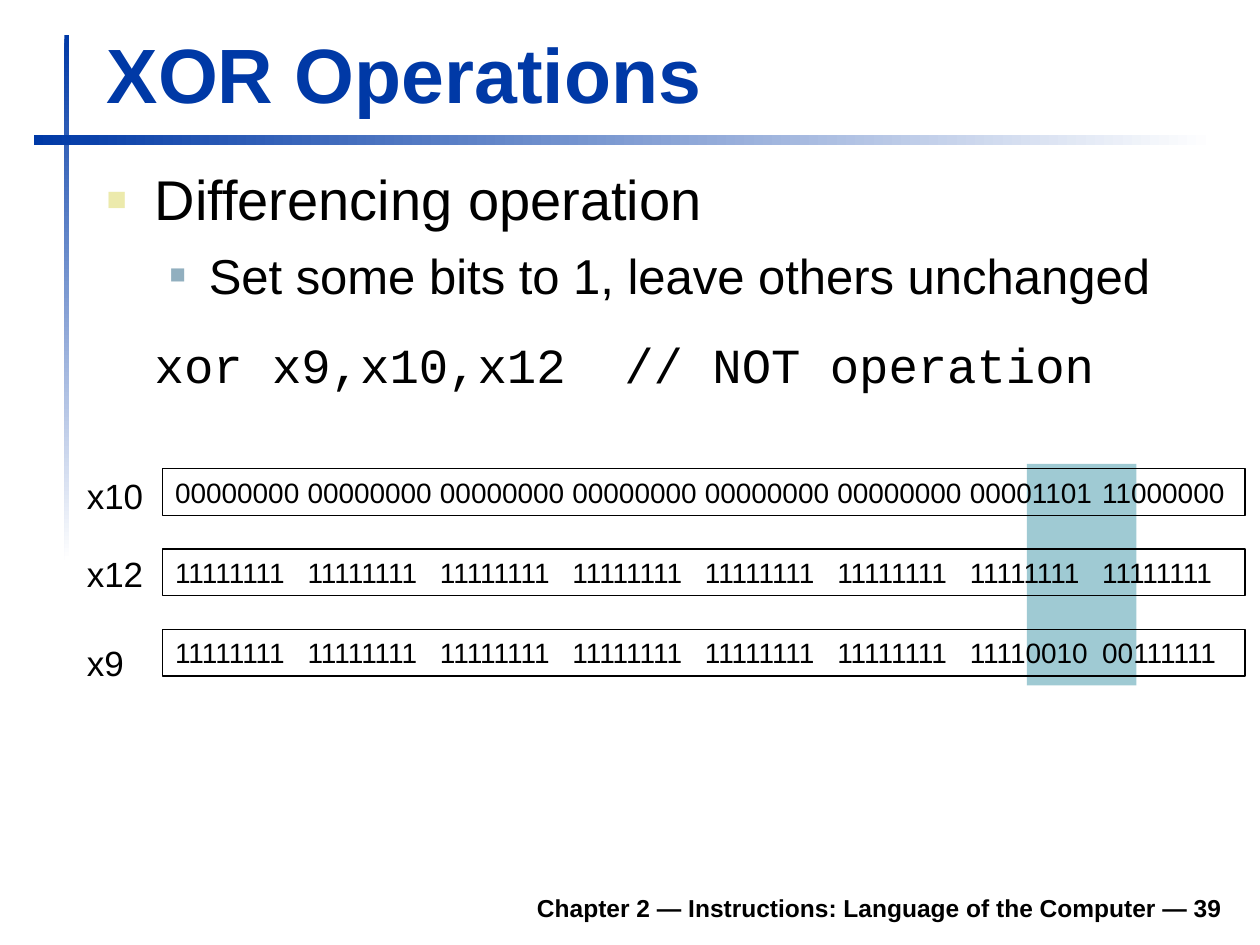
from lxml.etree import SubElement
from pptx import Presentation
from pptx.dml.color import RGBColor
from pptx.enum.shapes import MSO_SHAPE
from pptx.enum.text import MSO_ANCHOR, PP_ALIGN
from pptx.oxml.ns import qn
from pptx.util import Cm, Pt

BLUE = RGBColor(0x00, 0x39, 0xA6)
WHITE = RGBColor(0xFF, 0xFF, 0xFF)
BLACK = RGBColor(0x00, 0x00, 0x00)
TEAL = RGBColor(0x9F, 0xCA, 0xD3)
SAND = RGBColor(0xEC, 0xEA, 0xAC)
STEEL = RGBColor(0x91, 0xAF, 0xBF)

TITLE = "XOR Operations"
FOOTER = "Chapter 2 — Instructions: Language of the Computer — 39"
POINTS = [
    {"text": "Differencing operation", "left": 0.97, "hang": 0.97,
     "bullet": (SAND, 60), "font": {"size": Pt(32)}},
    {"text": "Set some bits to 1, leave others unchanged", "left": 2.06, "hang": 0.79,
     "bullet": (STEEL, 55), "before": 7.5, "level": 1, "font": {"size": Pt(28)}},
    {"text": "xor x9,x10,x12  // NOT operation", "left": 0.97, "hang": 0,
     "before": 17.5, "font": {"size": Pt(28), "name": "Courier New"}},
]
ZEROS, ONES = "00000000", "11111111"
REGISTERS = [
    ("x10", 9.45, [ZEROS] * 6 + ["00001101", "11000000"]),
    ("x12", 11.02, [ONES] * 8),
    ("x9", 12.8, [ONES] * 6 + ["11110010", "00111111"]),
]
RULES = [((1.3, 0.71, 0.1, 10.59), 270), ((0.69, 2.72, 23.8, 0.2), 0)]

REGISTER_LEFT, REGISTER_TOP = 3.28, 9.45
REGISTER_WIDTH, REGISTER_HEIGHT = 21.82, 0.94
REGISTER_PITCH = 1.62
BYTE_PITCH = 2.67


def cm_box(*lengths):
    return [Cm(length) for length in lengths]


def write(paragraph, text, **formats):
    run = paragraph.add_run()
    run.text = text
    for key, value in {"name": "Arial", "bold": False, **formats}.items():
        setattr(run.font, key, value)
    run.font.color.rgb = formats_color.get(text, BLACK)


formats_color = {TITLE: BLUE}


def add_box(slide, box, wrap=True):
    frame = slide.shapes.add_textbox(*cm_box(*box)).text_frame
    frame.word_wrap = wrap
    return frame


def add_rectangle(slide, box):
    rectangle = slide.shapes.add_shape(MSO_SHAPE.RECTANGLE, *cm_box(*box))
    rectangle.shadow.inherit = False
    return rectangle


def add_bullet(paragraph, color, percent):
    properties = paragraph._p.get_or_add_pPr()
    bullet_color = SubElement(properties, qn("a:buClr"))
    SubElement(bullet_color, qn("a:srgbClr"), val=str(color))
    SubElement(properties, qn("a:buSzPct"), val=str(percent * 1000))
    SubElement(properties, qn("a:buFont"), typeface="Arial")
    SubElement(properties, qn("a:buChar"), char="■")


def add_byte_tabs(paragraph, count):
    tabs = SubElement(paragraph._p.get_or_add_pPr(), qn("a:tabLst"))
    for column in range(1, count):
        SubElement(tabs, qn("a:tab"), pos=str(Cm(column * BYTE_PITCH)), algn="l")


def add_rules(slide):
    for box, angle in RULES:
        rule = add_rectangle(slide, box)
        rule.line.fill.background()
        rule.fill.gradient()
        rule.fill.gradient_angle = angle
        for stop, color in zip(rule.fill.gradient_stops, (BLUE, WHITE)):
            stop.color.rgb = color


def add_title(slide):
    title = slide.shapes.title
    title.left, title.top, title.width, title.height = cm_box(1.9, 0.41, 22.94, 2.11)
    title.text_frame.vertical_anchor = MSO_ANCHOR.BOTTOM
    paragraph = title.text_frame.paragraphs[0]
    paragraph.alignment = PP_ALIGN.LEFT
    write(paragraph, TITLE, size=Pt(44), bold=True)


def add_points(slide):
    frame = add_box(slide, (1.9, 3.2, 22.99, 5.77))
    for index, point in enumerate(POINTS):
        paragraph = frame.add_paragraph() if index else frame.paragraphs[0]
        paragraph.level = point.get("level", 0)
        properties = paragraph._p.get_or_add_pPr()
        properties.set("marL", str(Cm(point["left"])))
        properties.set("indent", str(-Cm(point["hang"])))
        if "bullet" in point:
            add_bullet(paragraph, *point["bullet"])
        if "before" in point:
            paragraph.space_before = Pt(point["before"])
        write(paragraph, point["text"], **point["font"])


def add_registers(slide):
    highlight = add_rectangle(slide, (20.7, 9.35, 2.21, 4.47))
    highlight.fill.solid()
    highlight.fill.fore_color.rgb = TEAL
    highlight.line.fill.background()
    for row, (name, label_top, octets) in enumerate(REGISTERS):
        label = add_box(slide, (1.5, label_top, 1.65, 1.12), wrap=False)
        write(label.paragraphs[0], name, size=Pt(20))
        top = REGISTER_TOP + row * REGISTER_PITCH
        register = add_rectangle(slide, (REGISTER_LEFT, top, REGISTER_WIDTH, REGISTER_HEIGHT))
        register.fill.background()
        register.line.color.rgb = BLACK
        register.line.width = Pt(0.75)
        paragraph = register.text_frame.paragraphs[0]
        paragraph.alignment = PP_ALIGN.LEFT
        add_byte_tabs(paragraph, len(octets))
        write(paragraph, "\t".join(octets), size=Pt(16))


def add_footer(slide):
    frame = add_box(slide, (4.7, 17.73, 20.19, 0.99))
    frame.vertical_anchor = MSO_ANCHOR.BOTTOM
    frame.paragraphs[0].alignment = PP_ALIGN.RIGHT
    write(frame.paragraphs[0], FOOTER, size=Pt(14), bold=True)


def main():
    deck = Presentation()
    deck.slide_width, deck.slide_height = cm_box(25.4, 19.05)
    slide = deck.slides.add_slide(deck.slide_layouts[5])
    for add_part in (add_rules, add_footer, add_title, add_points, add_registers):
        add_part(slide)
    deck.save("out.pptx")


if __name__ == "__main__":
    main()
